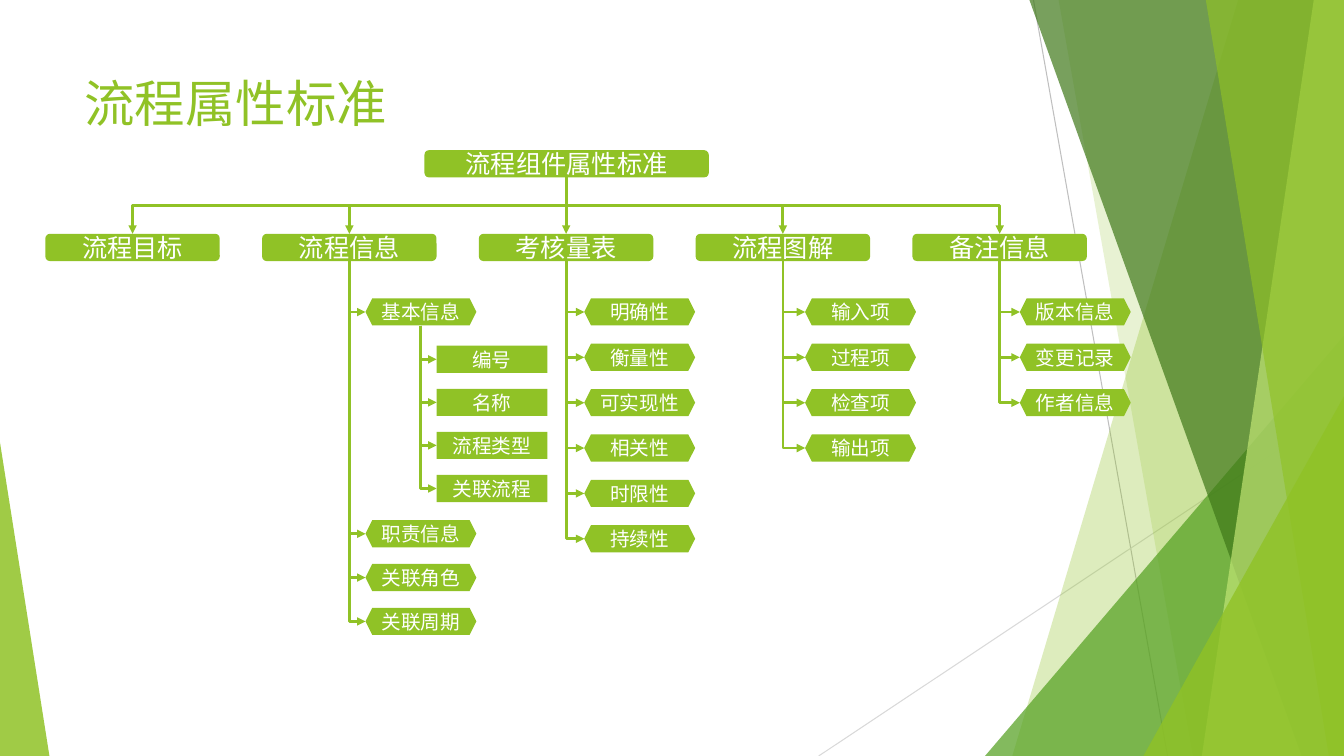
from pptx import Presentation
from pptx.dml.color import RGBColor
from pptx.enum.shapes import MSO_CONNECTOR, MSO_SHAPE
from pptx.enum.text import MSO_ANCHOR, PP_ALIGN
from pptx.oxml.ns import qn
from pptx.util import Inches, Pt
from lxml import etree

ROUNDED, HEXAGON, RECTANGLE = MSO_SHAPE.ROUNDED_RECTANGLE, MSO_SHAPE.HEXAGON, MSO_SHAPE.RECTANGLE
TRIANGLE = MSO_SHAPE.ISOSCELES_TRIANGLE
STRAIGHT, ELBOW = MSO_CONNECTOR.STRAIGHT, MSO_CONNECTOR.ELBOW
CENTER, MIDDLE = PP_ALIGN.CENTER, MSO_ANCHOR.MIDDLE

LIME = RGBColor(0x90, 0xC2, 0x26)
PALE_LIME = RGBColor(0xC0, 0xE4, 0x74)
GREEN = RGBColor(0x54, 0xA0, 0x21)
DARK_GREEN = RGBColor(0x3F, 0x78, 0x19)
WHITE = RGBColor(0xFF, 0xFF, 0xFF)
GRAY = RGBColor(0xBF, 0xBF, 0xBF)
LIGHT_GRAY = RGBColor(0xD9, 0xD9, 0xD9)
FONT = "Karla"

# Slide and chart grid, in inches
SLIDE_W, SLIDE_H = 13.33, 7.5
BOX_H = 0.27
ROOT_LEFT, ROOT_TOP, ROOT_W = 4.21, 1.49, 2.82
BRANCH_LEFT, BRANCH_TOP, BRANCH_W, BRANCH_PITCH = 0.45, 2.32, 1.73, 2.15
ITEM_W, ITEM_TOP, ITEM_PITCH = 1.1, 2.96, 0.45
DUTY_TOP, DUTY_PITCH = 5.16, 0.435
DETAIL_LEFT, DETAIL_TOP, DETAIL_PITCH = 4.33, 3.43, 0.427

# Connection sites
BOTTOM, TOP, HEXAGON_LEFT = 2, 0, 3

# Branch name, distance from its stem to its items, items
BRANCHES = [
    ("流程目标", 0, []),
    ("流程信息", 0.16, ["基本信息", "职责信息", "关联角色", "关联周期"]),
    ("考核量表", 0.18, ["明确性", "衡量性", "可实现性", "相关性", "时限性", "持续性"]),
    ("流程图解", 0.22, ["输入项", "过程项", "检查项", "输出项"]),
    ("备注信息", 0.2, ["版本信息", "变更记录", "作者信息"]),
]
BASIC_ITEM = "基本信息"
BASIC_DETAILS = ["编号", "名称", "流程类型", "关联流程"]

# Translucent panels: top left, top right, bottom left x, colour, opacity
PANELS = [
    (12.28, 10.04, LIME, 30),
    (10.5, 11.83, LIME, 20),
    (10.21, 12.91, DARK_GREEN, 70),
    (13.03, 11.92, PALE_LIME, 70),
    (11.96, 13.18, LIME, 65),
]


def paint(shape, color, opacity=100):
    shape.shadow.inherit = False
    shape.fill.solid()
    shape.fill.fore_color.rgb = color
    shape.line.fill.background()
    if opacity < 100:
        solid = shape.element.spPr.find(qn("a:solidFill"))
        etree.SubElement(solid[0], qn("a:alpha"), val=str(opacity * 1000))


def style_line(connector, color, width):
    connector.line.color.rgb = color
    connector.line.width = Pt(width)
    etree.SubElement(connector.element.spPr, qn("a:effectLst"))


def write(shape, text, size, color):
    paragraph = shape.text_frame.paragraphs[0]
    paragraph.text = text
    paragraph.font.size = Pt(size)
    paragraph.font.name = FONT
    paragraph.font.color.rgb = color
    return paragraph


def add_ray(slide, x1, y1, x2, y2, color):
    ray = slide.shapes.add_connector(STRAIGHT, Inches(x1), Inches(y1), Inches(x2), Inches(y2))
    style_line(ray, color, 0.75)


def add_panel(slide, top_x, bottom_x, color, opacity):
    corners = [(SLIDE_W, 0), (SLIDE_W, SLIDE_H), (bottom_x, SLIDE_H)]
    outline = slide.shapes.build_freeform(Inches(top_x), 0)
    outline.add_line_segments([(Inches(x), Inches(y)) for x, y in corners])
    paint(outline.convert_to_shape(), color, opacity)


def add_wedge(slide, left, top, right, apex, color, opacity):
    wedge = slide.shapes.add_shape(TRIANGLE, Inches(left), Inches(top),
                                   Inches(right - left), Inches(SLIDE_H - top))
    wedge.adjustments[0] = apex
    paint(wedge, color, opacity)


def add_box(slide, kind, left, top, width, text, size=14):
    box = slide.shapes.add_shape(kind, Inches(left), Inches(top), Inches(width), Inches(BOX_H))
    paint(box, LIME)
    frame = box.text_frame
    frame.margin_left = frame.margin_right = frame.margin_top = frame.margin_bottom = 0
    frame.vertical_anchor = MIDDLE
    write(box, text, size, WHITE).alignment = CENTER
    return box


def add_elbow(slide, parent, child, preset, site=None):
    """Arrow leaving the parent downwards; joined to both boxes when a site is given."""
    x1, y1 = parent.left + parent.width // 2, parent.top + parent.height
    if preset == "bentConnector3":
        x2, y2 = child.left + child.width // 2, child.top
    else:
        x2, y2 = child.left, child.top + child.height // 2
    elbow = slide.shapes.add_connector(ELBOW, x1, y1, x2, y2)
    if site is not None:
        elbow.begin_connect(parent, BOTTOM)
        elbow.end_connect(child, site)
    # A quarter turn makes the first leg vertical
    run, drop = abs(x2 - x1), y2 - y1
    elbow.left, elbow.top = (x1 + x2 - drop) // 2, (y1 + y2 - run) // 2
    elbow.width, elbow.height = drop, run
    goes_left = x2 < x1
    frame = elbow.element.spPr.find(qn("a:xfrm"))
    frame.set("rot", "5400000" if goes_left else "16200000")
    frame.set("flipH", "0" if goes_left else "1")
    frame.set("flipV", "0")
    elbow.element.spPr.find(qn("a:prstGeom")).set("prst", preset)
    style_line(elbow, LIME, 2)
    etree.SubElement(elbow.line._get_or_add_ln(), qn("a:tailEnd"), type="triangle")


def add_background(slide):
    add_ray(slide, 10.25, 0, 11.58, SLIDE_H, GRAY)
    add_ray(slide, SLIDE_W, 4.03, 8.12, SLIDE_H, LIGHT_GRAY)
    for panel in PANELS[:2]:
        add_panel(slide, *panel)
    add_wedge(slide, 9.77, 3.33, SLIDE_W, 1, GREEN, 72)
    for panel in PANELS[2:]:
        add_panel(slide, *panel)
    add_wedge(slide, 11.34, 3.93, SLIDE_W, 1, LIME, 80)
    add_wedge(slide, 0, 4.39, 0.49, 0, LIME, 85)


def add_title(slide, text):
    title = slide.shapes.add_textbox(Inches(0.74), Inches(0.67), Inches(9.4), Inches(1.44))
    title.text_frame.word_wrap = True
    write(title, text, 36, LIME)


def item_top(branch_name, row):
    if branch_name != "流程信息":
        return ITEM_TOP + row * ITEM_PITCH
    return DUTY_TOP + (row - 1) * DUTY_PITCH if row else ITEM_TOP


def add_details(slide, basic):
    for row, name in enumerate(BASIC_DETAILS):
        detail = add_box(slide, RECTANGLE, DETAIL_LEFT, DETAIL_TOP + row * DETAIL_PITCH, ITEM_W, name)
        add_elbow(slide, basic, detail, "bentConnector2")


def add_tree(slide):
    root = add_box(slide, ROUNDED, ROOT_LEFT, ROOT_TOP, ROOT_W, "流程组件属性标准", 18)
    for column, (name, indent, items) in enumerate(BRANCHES):
        left = BRANCH_LEFT + column * BRANCH_PITCH
        branch = add_box(slide, ROUNDED, left, BRANCH_TOP, BRANCH_W, name, 18)
        add_elbow(slide, root, branch, "bentConnector3", TOP)
        for row, item_name in enumerate(items):
            item = add_box(slide, HEXAGON, left + BRANCH_W / 2 + indent,
                           item_top(name, row), ITEM_W, item_name)
            add_elbow(slide, branch, item, "bentConnector2", HEXAGON_LEFT)
            if item_name == BASIC_ITEM:
                add_details(slide, item)


def main():
    deck = Presentation()
    deck.slide_width, deck.slide_height = Inches(SLIDE_W), Inches(SLIDE_H)
    slide = deck.slides.add_slide(deck.slide_layouts[6])
    add_background(slide)
    add_title(slide, "流程属性标准")
    add_tree(slide)
    deck.save("out.pptx")


if __name__ == "__main__":
    main()
